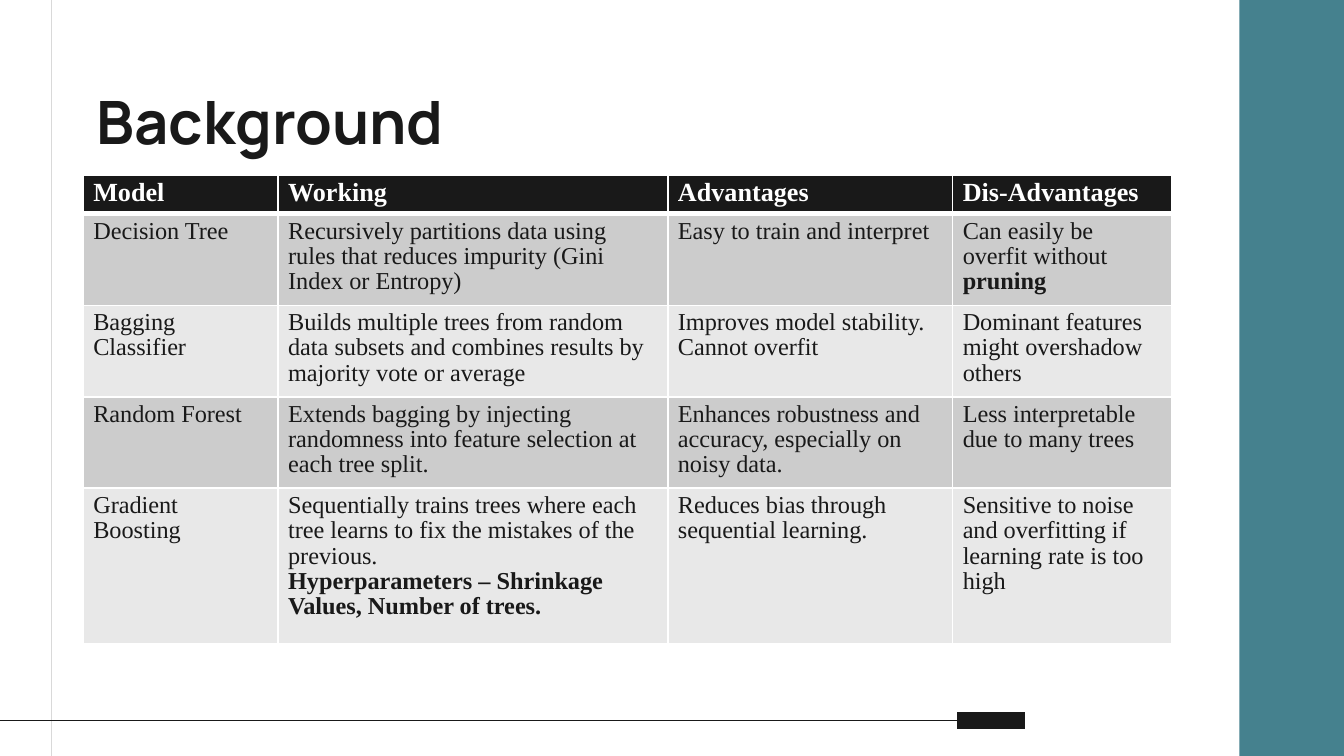
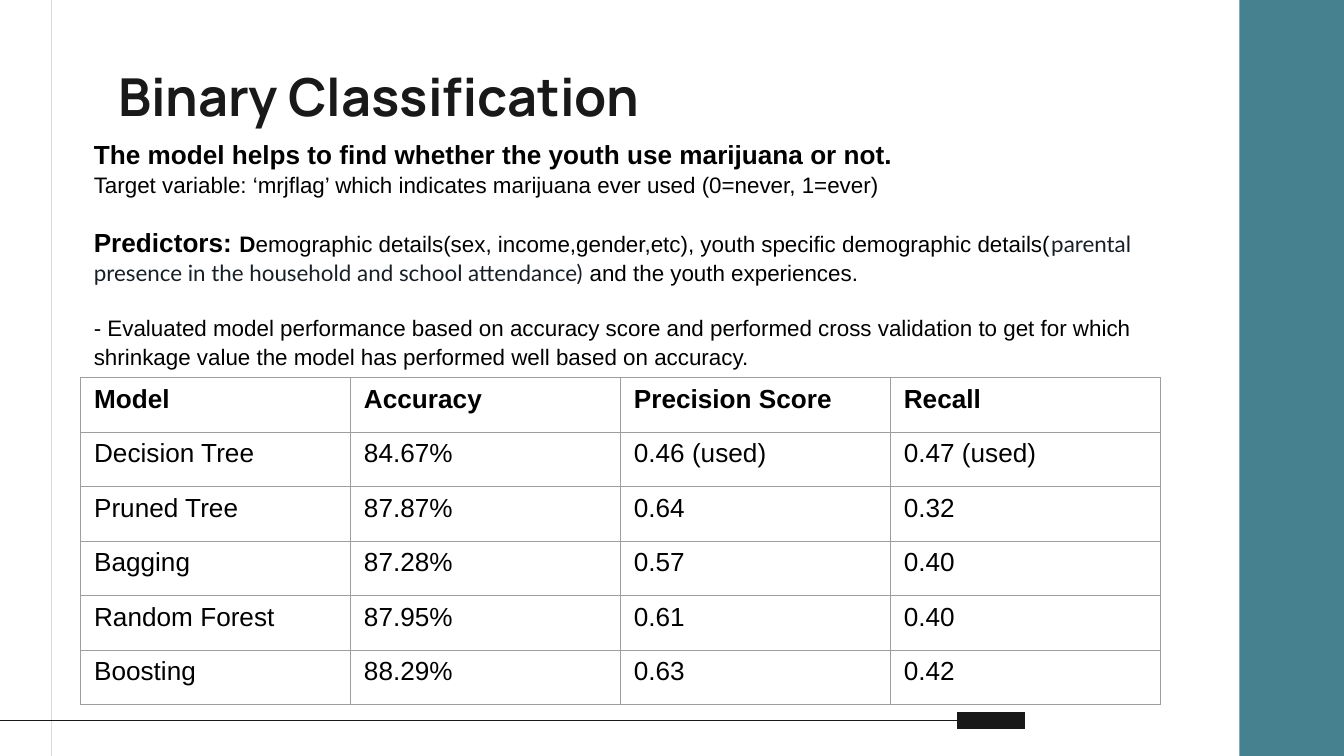
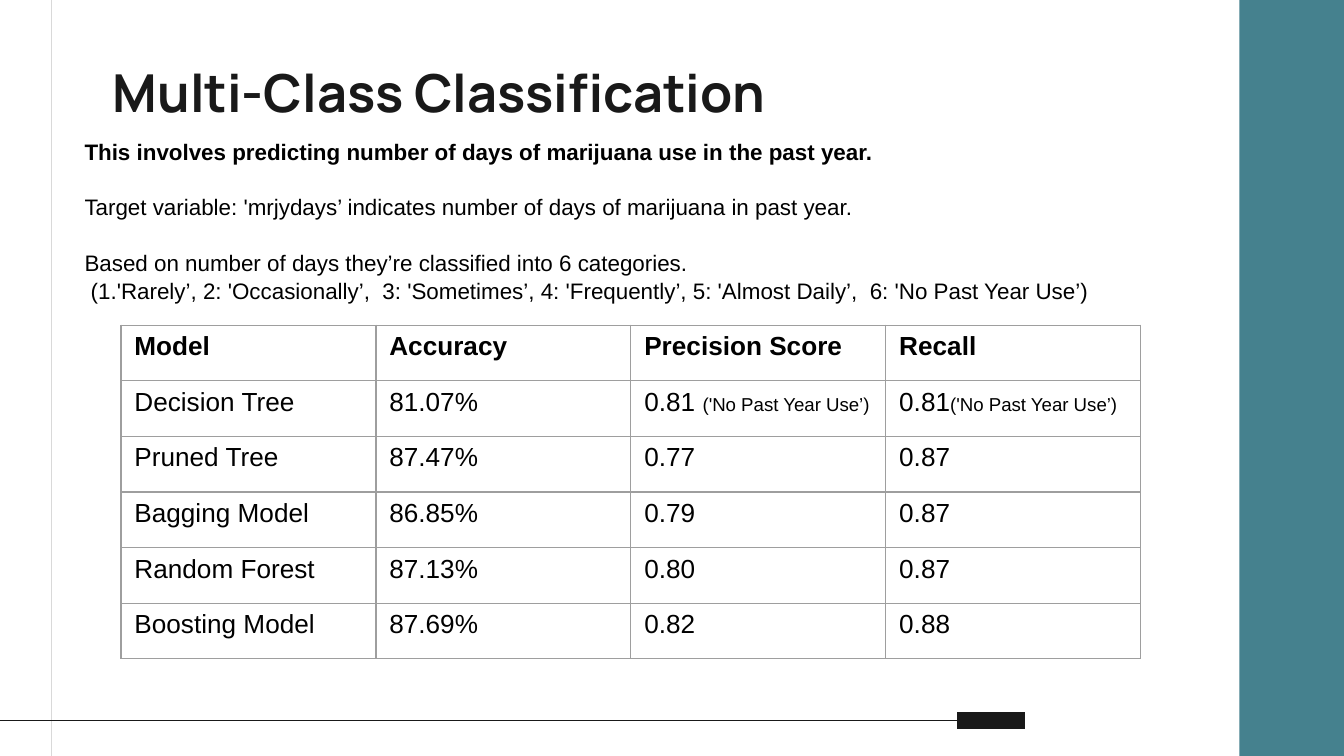
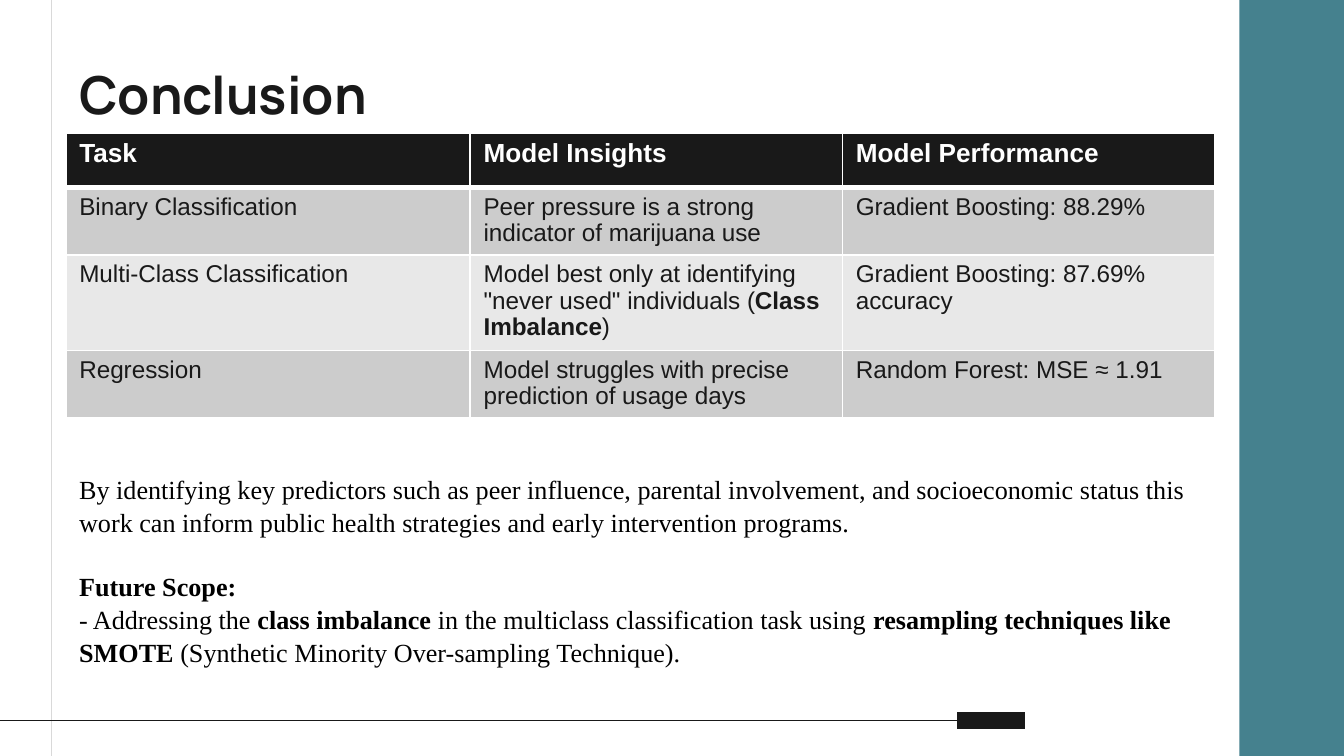
from lxml.etree import SubElement as Sub
from pptx import Presentation
from pptx.dml.color import RGBColor
from pptx.enum.shapes import MSO_CONNECTOR as Link, MSO_SHAPE as Shape
from pptx.enum.text import MSO_ANCHOR as Anchor, MSO_AUTO_SIZE as Fit, PP_ALIGN as Align
from pptx.oxml.ns import qn
from pptx.util import Pt

INK, WHITE, BLACK = "191919", "FFFFFF", "000000"
TEAL, PALE, GRAY = "45818E", "D9D9D9", "9E9E9E"
BANDS = ("CCCCCC", "E8E8E8")
SERIF = "Times New Roman"
GAP = 14.5


def paint(code):
    return RGBColor.from_string(code)


def write(para, text, size=12, font="Arial", color=BLACK, bold=False):
    for i, part in enumerate(text.split("*")):
        if part:
            run = para.add_run()
            run.text = part
            run.font.size = Pt(size)
            run.font.name = font
            run.font.bold = bold != (i % 2 == 1)
            run.font.color.rgb = paint(color)


def fill(frame, paras, space=1.0, gaps=None, **form):
    for i, runs in enumerate(paras):
        para = frame.paragraphs[0] if i == 0 else frame.add_paragraph()
        para.line_spacing = space
        para.space_before = Pt((gaps or {}).get(i, 0))
        for run in [runs] if isinstance(runs, str) else runs:
            text, extra = (run, {}) if isinstance(run, str) else run
            write(para, text, **{**form, **extra})


def edge(cell, side, color, width):
    props = cell._tc.get_or_add_tcPr()
    line = Sub(props, qn(f"a:ln{side}"), w=str(Pt(width)))
    Sub(Sub(line, qn("a:solidFill")), qn("a:srgbClr"), val=color)


class Deck:
    def __init__(self):
        self.show = Presentation()
        self.show.slide_width, self.show.slide_height = Pt(720), Pt(405)
        self.layout = self.show.slide_layouts[5]
        for holder in list(self.layout.placeholders):
            if holder.placeholder_format.idx:
                holder.element.getparent().remove(holder.element)
        self.slide = None

    def page(self, title, left, top, size=28):
        first = self.slide is None
        self.slide = self.show.slides.add_slide(self.layout)
        head = self.slide.shapes.title
        head.left, head.top, head.width, head.height = map(Pt, (left, top, 558, 45.4))
        frame = head.text_frame
        frame.auto_size = Fit.NONE
        frame.word_wrap = True
        frame.vertical_anchor = Anchor.TOP
        frame.margin_left = frame.margin_right = Pt(7.2)
        frame.margin_top = frame.margin_bottom = Pt(7.2)
        fill(frame, [title], size=size, font="Manrope", color=INK, bold=True)
        frame.paragraphs[0].alignment = Align.LEFT
        if first:
            self.base()

    def base(self):
        parts = [
            self.band(664, 0, 56, 405, TEAL),
            self.line(27.6, -3, 27.6, 408, PALE),
            self.line(549, 386, 512.5, 386, INK, 9),
            self.line(512.5, 386, -6.5, 386, INK),
        ]
        for part in parts:
            self.layout.element.cSld.spTree.append(part.element)

    def band(self, left, top, width, height, color):
        shape = self.slide.shapes.add_shape(Shape.RECTANGLE, *map(Pt, (left, top, width, height)))
        shape.shadow.inherit = False
        shape.fill.solid()
        shape.fill.fore_color.rgb = paint(color)
        shape.line.fill.background()
        return shape

    def line(self, x1, y1, x2, y2, color, width=0.75):
        line = self.slide.shapes.add_connector(Link.STRAIGHT, *map(Pt, (x1, y1, x2, y2)))
        line.line.color.rgb = paint(color)
        line.line.width = Pt(width)
        Sub(line.element.spPr, qn("a:effectLst"))
        return line

    def text(self, left, top, width, height, paras, **form):
        box = self.slide.shapes.add_textbox(*map(Pt, (left, top, width, height)))
        box.text_frame.word_wrap = True
        fill(box.text_frame, paras, space=1.05, **form)

    def table(self, left, top, cols, highs, rows, pad=(7.2, 3.6), banded=False, space=1.0, font="Arial"):
        size = map(Pt, (left, top, sum(cols), sum(highs)))
        table = self.slide.shapes.add_table(len(rows), len(cols), *size).table
        table.first_row = table.horz_banding = False
        for col, width in zip(table.columns, cols):
            col.width = Pt(width)
        for r, (row, high) in enumerate(zip(rows, highs)):
            table.rows[r].height = Pt(high)
            for c, item in enumerate(row):
                self.cell(table.cell(r, c), r, item, pad, banded, space, font)

    def cell(self, cell, r, item, pad, banded, space, font):
        cell.margin_left = cell.margin_right = Pt(pad[0])
        cell.margin_top = cell.margin_bottom = Pt(pad[1])
        for side in "LRTB":
            thick = banded and (side, r) in (("B", 0), ("T", 1))
            width = 3 if thick else 1 if banded else 0.75
            edge(cell, side, WHITE if banded else GRAY, width)
        if banded:
            cell.fill.solid()
            cell.fill.fore_color.rgb = paint(BANDS[(r - 1) % 2] if r else INK)
        else:
            cell.fill.background()
        color = BLACK if not banded else INK if r else WHITE
        size = 13 if banded and r else 14
        paras = item if isinstance(item, list) else [item]
        fill(cell.text_frame, paras, space, size=size, font=font, color=color, bold=r == 0)


def models(deck):
    deck.page("Background", 44.6, 38.2, 32)
    deck.table(44.6, 93.6, [104.4, 208.8, 152.6, 117.4], [21, 49, 49, 49, 83.5], [
        ["Model", "Working", "Advantages", "Dis-Advantages"],
        ["Decision Tree",
         "Recursively partitions data using rules that reduces impurity (Gini Index or Entropy)",
         "Easy to train and interpret",
         "Can easily be overfit without *pruning*"],
        ["Bagging Classifier",
         "Builds multiple trees from random data subsets and combines results by majority vote or average",
         "Improves model stability. Cannot overfit",
         "Dominant features might overshadow others"],
        ["Random Forest",
         "Extends bagging by injecting randomness into feature selection at each tree split.",
         "Enhances robustness and accuracy, especially on noisy data.",
         "Less interpretable due to many trees"],
        ["Gradient Boosting",
         ["Sequentially trains trees where each tree learns to fix the mistakes of the previous.",
          "*Hyperparameters – Shrinkage Values, Number of trees.*"],
         "Reduces bias through sequential learning.",
         "Sensitive to noise and overfitting if learning rate is too high"],
    ], pad=(5.4, 2.7), banded=True, space=0.95, font=SERIF)


SCORES = ["Model", "Accuracy", "Precision Score", "Recall"]


def binary(deck):
    deck.page("Binary Classification", 56.2, 27.4)
    deck.text(43.2, 69.8, 595.4, 128.2, [
        [("*The model helps to find whether the youth use marijuana or not.*", {"size": 14})],
        "Target variable: ‘mrjflag’ which indicates marijuana ever used (0=never, 1=ever)",
        [("*Predictors: *", {"size": 14}),
         "*D*emographic details(sex, income,gender,etc), youth specific demographic details(",
         ("parental presence in the household and school attendance)", {"font": "Lato", "color": "181E25"}),
         " and the youth experiences."],
        "- Evaluated model performance based on accuracy score and performed cross validation "
        "to get for which shrinkage value the model has performed well based on accuracy.",
    ], gaps={2: GAP, 3: GAP})
    deck.table(43.2, 202.3, [144.6] * 4, [29.2] * 6, [
        SCORES,
        ["Decision Tree", "84.67%", "0.46 (used)", "0.47 (used)"],
        ["Pruned Tree", "87.87%", "0.64", "0.32"],
        ["Bagging", "87.28%", "0.57", "0.40"],
        ["Random Forest", "87.95%", "0.61", "0.40"],
        ["Boosting", "88.29%", "0.63", "0.42"],
    ])


def multi(deck):
    deck.page("Multi-Class Classification", 53.3, 25.2)
    deck.text(38.2, 69.8, 595.4, 94.3, [
        "*This involves predicting number of days of marijuana use in the past year.*",
        "Target variable: 'mrjydays’ indicates number of days of marijuana in past year.",
        "Based on number of days they’re classified into 6 categories.",
        " (1.'Rarely’, 2: 'Occasionally’,  3: 'Sometimes’, 4: 'Frequently’, "
        "5: 'Almost Daily’,  6: 'No Past Year Use’)",
    ], gaps={1: GAP, 2: GAP})
    note = ("('No Past Year Use’)", {"size": 10})
    deck.table(64.8, 174.2, [136.6] * 4, [29.8] * 6, [
        SCORES,
        ["Decision Tree", "81.07%", [["0.81 ", note]], [["0.81", note]]],
        ["Pruned Tree", "87.47%", "0.77", "0.87"],
        ["Bagging Model", "86.85%", "0.79", "0.87"],
        ["Random Forest", "87.13%", "0.80", "0.87"],
        ["Boosting Model", "87.69%", "0.82", "0.88"],
    ])


def ending(deck):
    deck.page("Conclusion", 35.3, 25.9)
    deck.table(35.3, 71.5, [216.6, 199.4, 199.4], [29.2, 36, 51, 36], [
        ["Task", "Model Insights", "Model Performance"],
        ["Binary Classification",
         "Peer pressure is a strong indicator of marijuana use",
         "Gradient Boosting: 88.29%"],
        ["Multi-Class Classification",
         'Model best only at identifying "never used" individuals (*Class Imbalance*)',
         "Gradient Boosting: 87.69% accuracy"],
        ["Regression",
         "Model struggles with precise prediction of usage days",
         "Random Forest: MSE ≈ 1.91"],
    ], banded=True, space=0.97)
    deck.text(35.3, 249.1, 615.6, 108.7, [
        "By identifying key predictors such as peer influence, parental involvement, and socioeconomic "
        "status this work can inform public health strategies and early intervention programs.",
        "*Future Scope:*",
        "- Addressing the *class imbalance* in the multiclass classification task using "
        "*resampling techniques like SMOTE* (Synthetic Minority Over-sampling Technique).",
    ], gaps={1: 17}, size=14, font=SERIF)


def main():
    deck = Deck()
    for build in (models, binary, multi, ending):
        build(deck)
    deck.show.save("out.pptx")


if __name__ == "__main__":
    main()
